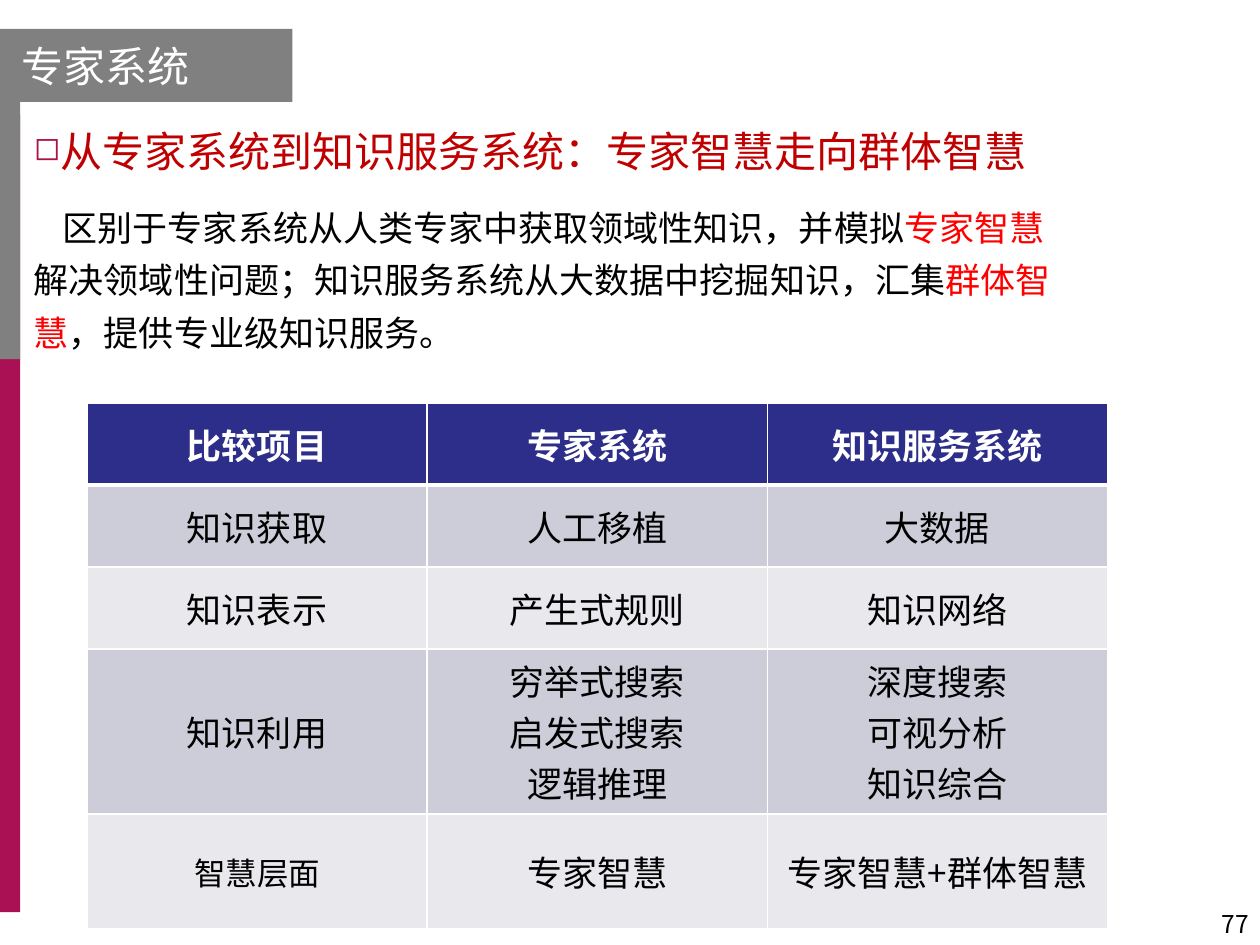
from dataclasses import dataclass

from lxml import etree
from pptx import Presentation
from pptx.dml.color import RGBColor
from pptx.enum.shapes import MSO_SHAPE
from pptx.enum.text import MSO_ANCHOR, PP_ALIGN
from pptx.oxml import parse_xml
from pptx.oxml.ns import nsdecls, qn
from pptx.util import Inches, Pt

RECTANGLE = MSO_SHAPE.RECTANGLE
MIDDLE, BOTTOM = MSO_ANCHOR.MIDDLE, MSO_ANCHOR.BOTTOM
LEFT, CENTER, RIGHT = PP_ALIGN.LEFT, PP_ALIGN.CENTER, PP_ALIGN.RIGHT


@dataclass(frozen=True)
class Theme:
    font: str = "Noto Sans CJK SC"
    white: str = "FFFFFF"
    black: str = "000000"
    gray: str = "808080"
    crimson: str = "AA1054"
    bullet: str = "AB1343"
    heading: str = "C00000"
    highlight: str = "FF0000"
    header: str = "2D2D8A"
    bands: tuple = ("CDCDDA", "E8E8ED")
    large: int = 24
    body: int = 20
    label: int = 18
    number: int = 14


THEME = Theme()
TITLE = "专家系统"
HEADING = "从专家系统到知识服务系统：专家智慧走向群体智慧"
BODY = [
    ("区别于专家系统从人类专家中获取领域性知识，并模拟", THEME.black),
    ("专家智慧", THEME.highlight),
    ("解决领域性问题；知识服务系统从大数据中挖掘知识，汇集", THEME.black),
    ("群体智慧", THEME.highlight),
    ("，提供专业级知识服务。", THEME.black),
]
ROWS = [
    ("比较项目", "专家系统", "知识服务系统"),
    ("知识获取", "人工移植", "大数据"),
    ("知识表示", "产生式规则", "知识网络"),
    ("知识利用", "穷举式搜索\n启发式搜索\n逻辑推理", "深度搜索\n可视分析\n知识综合"),
    ("智慧层面", "专家智慧", "专家智慧+群体智慧"),
]
ROW_HEIGHTS = [0.65, 0.65, 0.65, 1.31, 0.91]
COLUMN_WIDTH = 2.7
SIDE_BARS = [(0.91, 6.33, THEME.crimson), (0.25, 2.6, THEME.gray)]
BAR_WIDTH = 0.16
PAGE_NUMBER = "77"


def inches(*values):
    return [Inches(value) for value in values]


def color(value):
    return RGBColor.from_string(value)


def style(paragraph, size, text_color, align=LEFT, bold=False):
    paragraph.alignment = align
    font = paragraph.font
    font.size, font.bold, font.name = Pt(size), bold, THEME.font
    font.color.rgb = color(text_color)
    east_asian = etree.SubElement(font._element, qn("a:ea"))
    east_asian.set("typeface", THEME.font)


def add_bar(slide, top, height, fill):
    bar = slide.shapes.add_shape(RECTANGLE, *inches(0, top, BAR_WIDTH, height))
    bar.shadow.inherit = False
    bar.fill.solid()
    bar.fill.fore_color.rgb = color(fill)
    bar.line.fill.background()


def format_title(title):
    title.left, title.top, title.width, title.height = inches(0, 0.23, 2.32, 0.58)
    title.fill.solid()
    title.fill.fore_color.rgb = color(THEME.gray)
    frame = title.text_frame
    frame.text = TITLE
    frame.vertical_anchor = MIDDLE
    frame.margin_left = Inches(0.17)
    style(frame.paragraphs[0], THEME.large, THEME.white)


def add_text_box(slide, *place):
    frame = slide.shapes.add_textbox(*inches(*place)).text_frame
    frame.word_wrap = True
    return frame


def add_body(slide):
    frame = add_text_box(slide, 0.17, 0.85, 8.48, 0.61)
    heading, body = frame.paragraphs[0], frame.add_paragraph()
    for paragraph, indent, after in ((heading, -0.38, 11), (body, 0.23, 6)):
        paragraph.line_spacing = 1.25
        paragraph.space_after = Pt(after)
        properties = paragraph._p.get_or_add_pPr()
        properties.set("marL", "0")
        properties.set("indent", str(Inches(indent)))
    properties = heading._p.get_or_add_pPr()
    bullet_color = etree.SubElement(properties, qn("a:buClr"))
    etree.SubElement(bullet_color, qn("a:srgbClr")).set("val", THEME.bullet)
    etree.SubElement(properties, qn("a:buSzPct")).set("val", "77000")
    etree.SubElement(properties, qn("a:buChar")).set("char", "◻")
    heading.add_run().text = HEADING
    style(heading, THEME.large, THEME.heading)
    for text, text_color in BODY:
        run = body.add_run()
        run.text = text
        run.font.color.rgb = color(text_color)
    style(body, THEME.body, THEME.black)


def set_borders(cell, top, bottom):
    properties = cell._tc.get_or_add_tcPr()
    for side, width in (("L", 1), ("R", 1), ("T", top), ("B", bottom)):
        properties.append(parse_xml(
            f'<a:ln{side} {nsdecls("a")} w="{Pt(width)}"><a:solidFill>'
            f'<a:srgbClr val="{THEME.white}"/></a:solidFill></a:ln{side}>'))


def add_comparison(slide):
    columns = len(ROWS[0])
    place = inches(0.69, 3.2, columns * COLUMN_WIDTH, sum(ROW_HEIGHTS))
    table = slide.shapes.add_table(len(ROWS), columns, *place).table
    for column in table.columns:
        column.width = Inches(COLUMN_WIDTH)
    for row, texts in enumerate(ROWS):
        table.rows[row].height = Inches(ROW_HEIGHTS[row])
        is_header = row == 0
        fill = THEME.header if is_header else THEME.bands[(row - 1) % 2]
        text_color = THEME.white if is_header else THEME.black
        for column, text in enumerate(texts):
            cell = table.cell(row, column)
            set_borders(cell, 3 if row == 1 else 1, 3 if is_header else 1)
            cell.fill.solid()
            cell.fill.fore_color.rgb = color(fill)
            cell.vertical_anchor = MIDDLE
            cell.text = text
            is_last_label = row == len(ROWS) - 1 and column == 0
            size = THEME.label if is_last_label else THEME.body
            for paragraph in cell.text_frame.paragraphs:
                style(paragraph, size, text_color, CENTER, is_header)


def add_page_number(slide):
    frame = add_text_box(slide, 7.68, 6.98, 2.33, 0.52)
    frame.vertical_anchor = BOTTOM
    frame.text = PAGE_NUMBER
    style(frame.paragraphs[0], THEME.number, THEME.black, RIGHT)


def main():
    """Build the slide comparing expert systems with knowledge service systems."""
    presentation = Presentation()
    presentation.slide_width, presentation.slide_height = inches(10, 7.5)
    slide = presentation.slides.add_slide(presentation.slide_layouts[5])
    for bar in SIDE_BARS:
        add_bar(slide, *bar)
    format_title(slide.shapes.title)
    add_page_number(slide)
    add_body(slide)
    add_comparison(slide)
    presentation.save("out.pptx")


if __name__ == "__main__":
    main()
